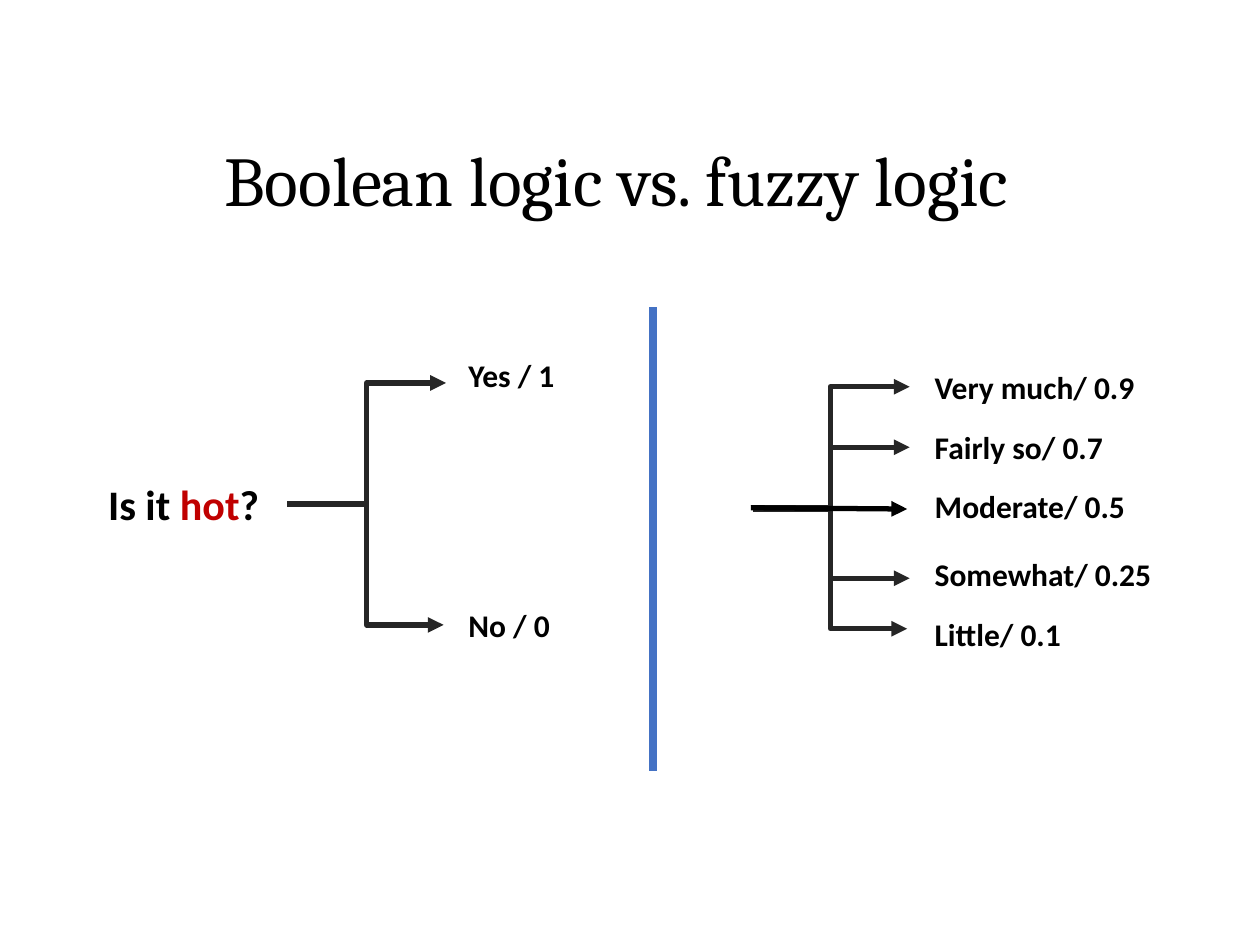
from lxml import etree
from pptx import Presentation
from pptx.dml.color import RGBColor
from pptx.enum.shapes import MSO_CONNECTOR
from pptx.enum.text import MSO_ANCHOR, MSO_AUTO_SIZE, PP_ALIGN
from pptx.oxml.ns import qn
from pptx.util import Inches, Pt

STRAIGHT, ELBOW = MSO_CONNECTOR.STRAIGHT, MSO_CONNECTOR.ELBOW
FIT_SHAPE = MSO_AUTO_SIZE.SHAPE_TO_FIT_TEXT
TOP, LEFT = MSO_ANCHOR.TOP, PP_ALIGN.LEFT
TITLE_ONLY = 5
COLORS = {"text": "000000", "hot": "C00000", "branch": "262626", "divider": "4472C4"}


class LogicSlide:
    """Holds the slide and the style its elements share."""

    title_font, body_font = "Cambria", "Calibri"
    label_height = 0.4

    def __init__(self, deck):
        self.slide = deck.slides.add_slide(deck.slide_layouts[TITLE_ONLY])

    def color(self, name):
        return RGBColor.from_string(COLORS[name])

    def fill_text(self, box, spans, font_name, size, bold):
        """Write one paragraph from (text, colour name) spans."""
        frame = box.text_frame
        frame.word_wrap = True
        frame.auto_size = FIT_SHAPE
        frame.vertical_anchor = TOP
        para = frame.paragraphs[0]
        para.alignment = LEFT
        para.font.name, para.font.size, para.font.bold = font_name, Pt(size), bold
        for text, color_name in spans:
            span = para.add_run()
            span.text = text
            span.font.color.rgb = self.color(color_name)

    def title(self, text, left, top, width, height):
        box = self.slide.shapes.title
        box.left, box.top = Inches(left), Inches(top)
        box.width, box.height = Inches(width), Inches(height)
        self.fill_text(box, [(text, "text")], self.title_font, 40, False)

    def text(self, spans, left, top, width, height, size):
        box = self.slide.shapes.add_textbox(
            Inches(left), Inches(top), Inches(width), Inches(height))
        self.fill_text(box, spans, self.body_font, size, True)

    def label(self, text, left, top, width):
        self.text([(text, "text")], left, top, width, self.label_height, 18)

    def line(self, start, end, color_name, width=3, kind=STRAIGHT, arrow=True):
        connector = self.slide.shapes.add_connector(
            kind, *(Inches(value) for value in (*start, *end)))
        connector.line.color.rgb = self.color(color_name)
        connector.line.width = Pt(width)
        properties = connector._element.spPr
        if arrow:
            outline = properties.find(qn("a:ln"))
            etree.SubElement(outline, qn("a:tailEnd"), type="triangle")
        etree.SubElement(properties, qn("a:effectLst"))

    def branch(self, start, end):
        self.line(start, end, "branch", kind=ELBOW)


def main():
    deck = Presentation()
    deck.slide_width, deck.slide_height = Inches(10), Inches(7.5)
    page = LogicSlide(deck)

    page.title(" Boolean logic vs. fuzzy logic", 1.56, 1.03, 7.24, 0.77)
    page.line((5.18, 2.44), (5.18, 6.12), "divider", width=4.5, arrow=False)

    boolean_answers = [
        ("Yes / 1", 2.78, (2.28, 4), (3.54, 3.04)),
        ("No / 0", 4.76, (2.3, 4), (3.52, 4.96)),
    ]
    for answer, top, start, end in boolean_answers:
        page.branch(start, end)
        page.label(answer, 3.62, top, 1.2)

    fuzzy_root = (5.96, 4.03)
    fuzzy_branches = [
        (fuzzy_root, (7.22, 3.07)),
        (fuzzy_root, (7.22, 3.55)),
        (fuzzy_root, (7.22, 4.59)),
        ((5.98, 4.04), (7.2, 4.99)),
    ]
    for start, end in fuzzy_branches:
        page.branch(start, end)

    fuzzy_answers = [
        ("Very much/ 0.9", 2.87, 2.18),
        ("Fairly so/ 0.7", 3.35, 2.32),
        ("Moderate/ 0.5", 3.82, 1.81),
        ("Somewhat/ 0.25", 4.36, 2.57),
        ("Little/ 0.1", 4.83, 1.96),
    ]
    for answer, top, width in fuzzy_answers:
        page.label(answer, 7.32, top, width)

    question = [("Is it ", "text"), ("hot", "hot"), ("?", "text")]
    page.text(question, 0.76, 3.75, 2.24, 0.5, 24)
    page.line(fuzzy_root, (7.2, 4.04), "text")

    deck.save("out.pptx")


if __name__ == "__main__":
    main()
